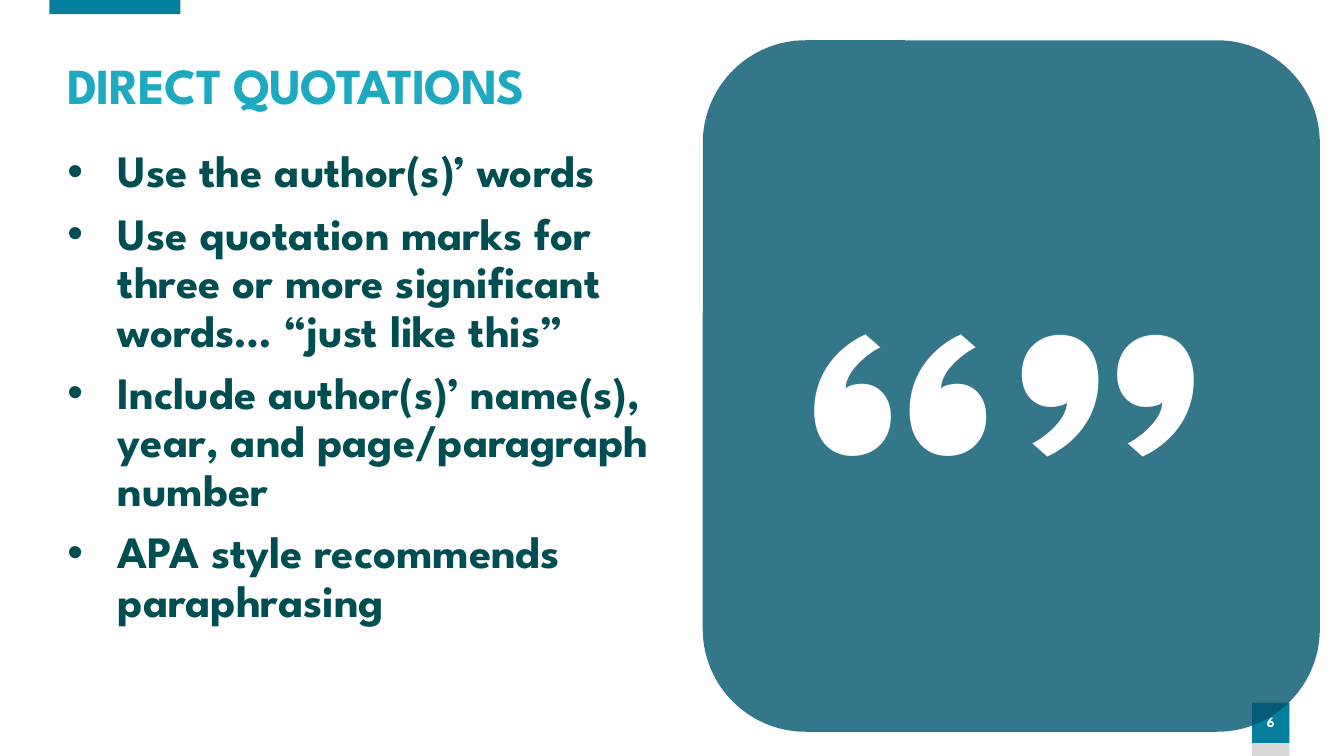
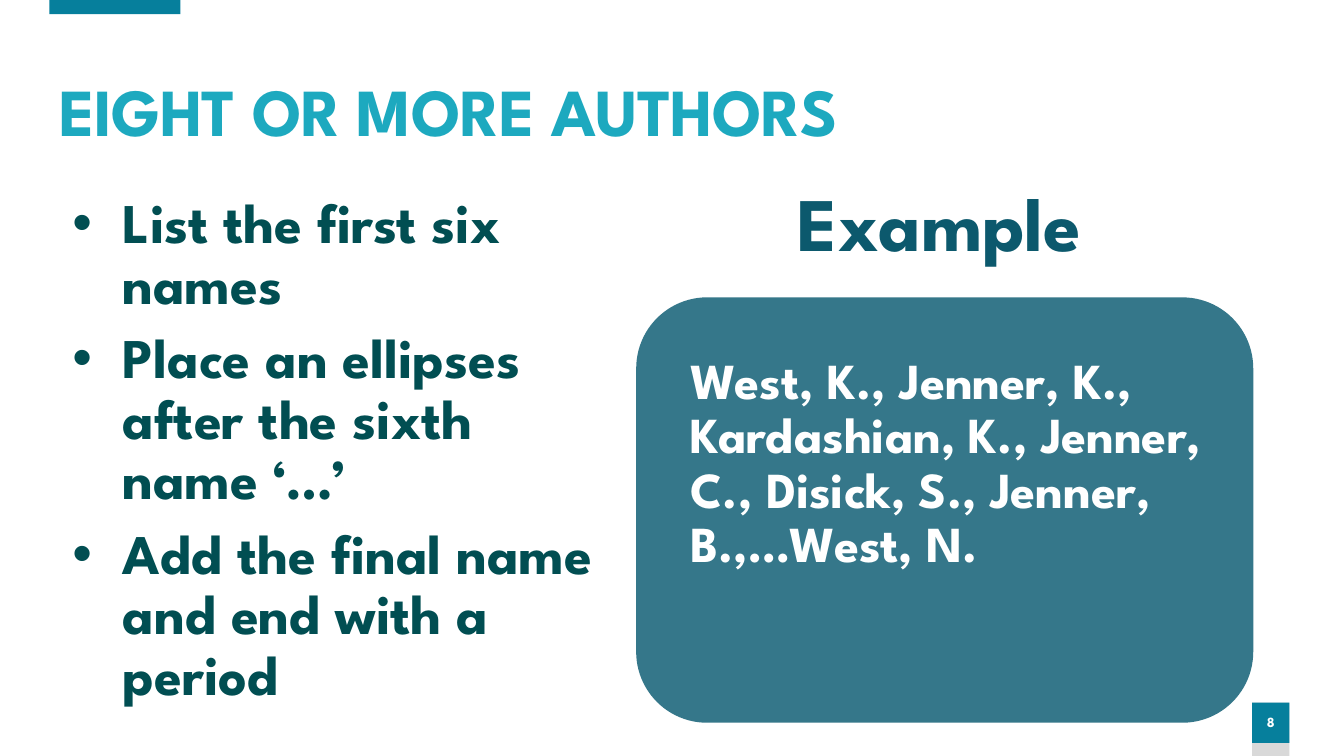
import pptx
import pptx.dml.color
import pptx.enum.shapes
import pptx.enum.text
import pptx.oxml.ns
import pptx.util
from lxml import etree

RGBColor = pptx.dml.color.RGBColor
Inches = pptx.util.Inches
Pt = pptx.util.Pt
Shape = pptx.enum.shapes.MSO_SHAPE
Align = pptx.enum.text.PP_ALIGN
Anchor = pptx.enum.text.MSO_ANCHOR
qn = pptx.oxml.ns.qn

TEAL = RGBColor(0x06, 0x7F, 0x9C)
SKY = RGBColor(0x1D, 0xA9, 0xBF)
PINE = RGBColor(0x01, 0x4E, 0x52)
DEEP = RGBColor(0x03, 0x55, 0x6D)
SLATE = RGBColor(0x0C, 0x59, 0x6D)
GREY = RGBColor(0xD9, 0xD9, 0xD9)
WHITE = RGBColor(0xFF, 0xFF, 0xFF)
FONT = "League Spartan"


class Deck:
    """Holds the shared style and the slide being built."""

    def __init__(self):
        self.prs = pptx.Presentation()
        self.prs.slide_width = Inches(13.33)
        self.prs.slide_height = Inches(7.5)
        self.slide = None

    def start(self, title, box, size, number):
        self.slide = self.prs.slides.add_slide(self.prs.slide_layouts[5])
        self.block((0.49, 0, 1.3, 0.14), TEAL)
        self.title(title, box, size)
        self.block((12.42, 6.97, 0.37, 0.53), GREY)
        tag = self.block((12.42, 6.97, 0.37, 0.4), TEAL)
        frame = tag.text_frame
        frame.margin_left = frame.margin_right = 0
        frame.vertical_anchor = Anchor.MIDDLE
        self.fill(frame, [number], 10, WHITE, Align.CENTER)

    def title(self, text, box, size):
        head = self.slide.shapes.title
        head.left, head.top, head.width, head.height = map(Inches, box)
        frame = head.text_frame
        frame.auto_size = pptx.enum.text.MSO_AUTO_SIZE.NONE
        frame.vertical_anchor = Anchor.MIDDLE
        self.fill(frame, [text], size, SKY)
        for run in frame.paragraphs[0].runs:
            run._r.get_or_add_rPr().set("spc", "-60")

    def block(self, box, color, kind=Shape.RECTANGLE):
        shape = self.slide.shapes.add_shape(kind, *map(Inches, box))
        shape.shadow.inherit = False
        shape.fill.solid()
        shape.fill.fore_color.rgb = color
        shape.line.fill.background()
        return shape

    def panel(self, box):
        shape = self.block(box, DEEP, Shape.ROUNDED_RECTANGLE)
        tint = shape._element.spPr.find(".//" + qn("a:srgbClr"))
        etree.SubElement(tint, qn("a:alpha"), val="80000")

    def text(self, text, box, size, color, align=Align.LEFT):
        self.fill(self.frame(box), [text], size, color, align)

    def points(self, items, box, size):
        self.fill(self.frame(box), items, size, PINE, bullet=True)

    def frame(self, box):
        frame = self.slide.shapes.add_textbox(*map(Inches, box)).text_frame
        frame.word_wrap = True
        return frame

    def fill(self, frame, lines, size, color, align=Align.LEFT, bullet=False):
        for i, line in enumerate(lines):
            para = frame.add_paragraph() if i else frame.paragraphs[0]
            para.text = line
            para.alignment = align
            para.line_spacing = 0.9
            para.space_before = Pt(10 if i else 0)
            if bullet:
                self.bullet(para)
            for run in para.runs:
                font = run.font
                font.name, font.size, font.bold = FONT, Pt(size), True
                font.color.rgb = color

    def bullet(self, para):
        props = para._p.get_or_add_pPr()
        props.set("marL", str(Inches(0.5)))
        props.set("indent", str(-Inches(0.5)))
        etree.SubElement(props, qn("a:buFont"), typeface="Arial")
        etree.SubElement(props, qn("a:buChar"), char="•")


def main():
    deck = Deck()

    deck.start("DIRECT QUOTATIONS", (0.57, 0.55, 5.65, 0.65), 36, "6")
    deck.points([
        "Use the author(s)’ words",
        "Use quotation marks for three or more significant words… “just like this”",
        "Include author(s)’ name(s), year, and page/paragraph number",
        "APA style recommends paraphrasing",
    ], (0.57, 1.43, 5.99, 4.9), 32)
    deck.panel((6.97, 0.4, 6.12, 6.86))
    deck.text("“”", (6.97, 2.48, 6.02, 4), 300, WHITE, Align.CENTER)

    deck.start("EIGHT OR MORE AUTHORS", (0.49, 0.72, 8.47, 0.83), 48, "8")
    deck.points([
        "List the first six names",
        "Place an ellipses after the sixth name ‘…’",
        "Add the final name and end with a period",
    ], (0.62, 1.89, 5.52, 5.2), 40)
    deck.panel((6.31, 2.95, 6.12, 4.22))
    deck.text("Example", (6.31, 1.8, 6.02, 0.95), 54, SLATE, Align.CENTER)
    deck.text(
        "West, K., Jenner, K., Kardashian, K., Jenner, C., Disick, S., "
        "Jenner, B.,…West, N.",
        (6.75, 3.48, 5.46, 2.3), 36, WHITE)

    deck.prs.save("out.pptx")


if __name__ == "__main__":
    main()
